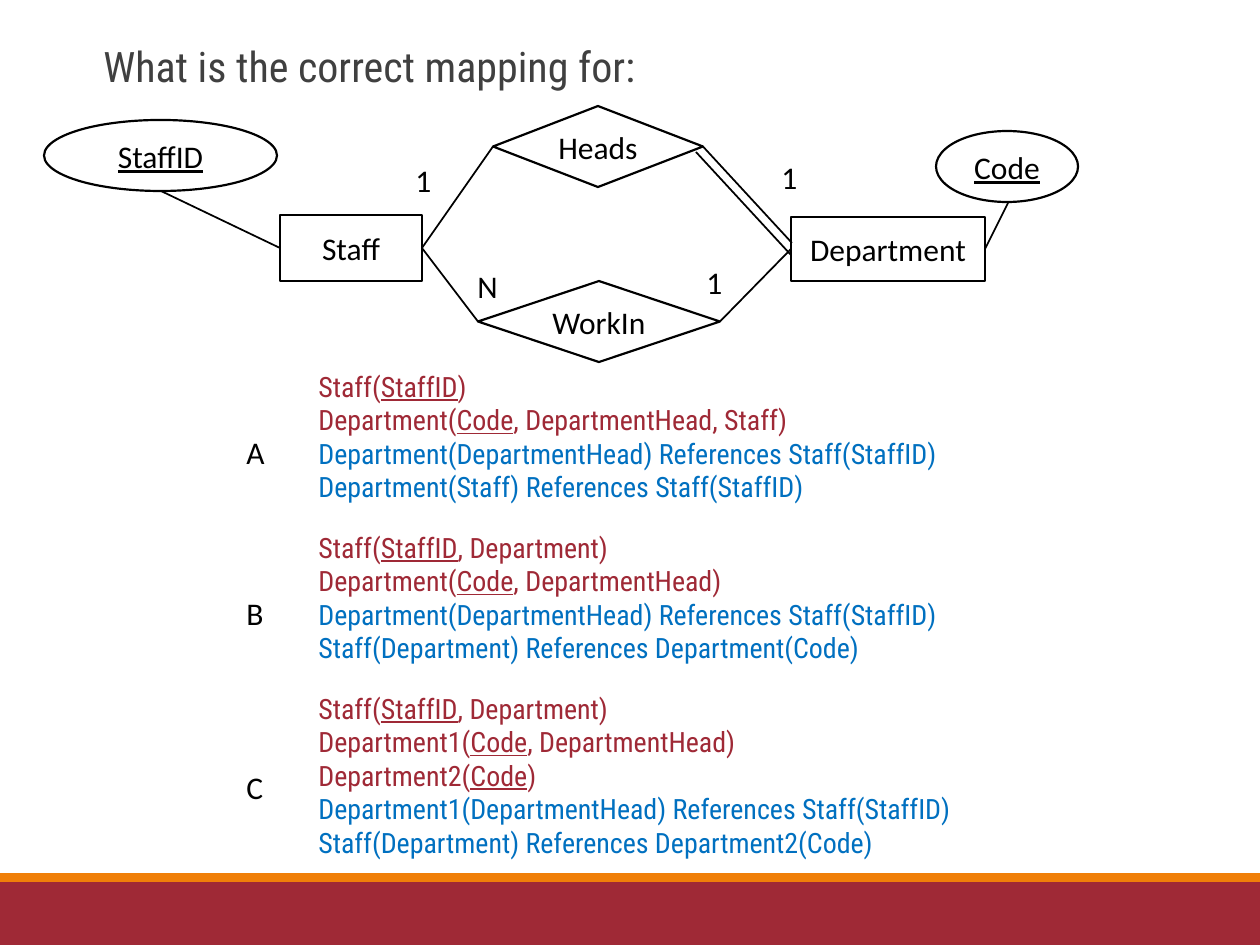
from lxml import etree
from pptx import Presentation
from pptx.dml.color import RGBColor
from pptx.enum.shapes import MSO_CONNECTOR, MSO_SHAPE
from pptx.enum.text import MSO_ANCHOR, MSO_AUTO_SIZE, PP_ALIGN
from pptx.oxml.ns import qn
from pptx.util import Pt

RECTANGLE, DIAMOND, ELLIPSE = MSO_SHAPE.RECTANGLE, MSO_SHAPE.DIAMOND, MSO_SHAPE.OVAL
STRAIGHT = MSO_CONNECTOR.STRAIGHT
CENTER, MIDDLE = PP_ALIGN.CENTER, MSO_ANCHOR.MIDDLE
FIT_SHAPE = MSO_AUTO_SIZE.SHAPE_TO_FIT_TEXT
LEFT_SIDE, RIGHT_SIDE = 1, 3

BLACK = RGBColor(0x00, 0x00, 0x00)
WHITE = RGBColor(0xFF, 0xFF, 0xFF)
GRAY = RGBColor(0x40, 0x40, 0x40)
RED = RGBColor(0x9F, 0x29, 0x36)
ORANGE = RGBColor(0xF0, 0x7F, 0x09)
BLUE = RGBColor(0x00, 0x70, 0xC0)
BODY_FONT, DISPLAY_FONT = "Calibri", "Roboto Condensed"

SLIDE_WIDTH, SLIDE_HEIGHT = 1260, 945
ROW_HEIGHT, CHOICE_PADDING, CHOICE_GAP = 34, 13, 12
CHOICES = [
    ("A", 64, [
        "Staff(_StaffID_)",
        "Department(_Code_, DepartmentHead, Staff)",
        "Department(DepartmentHead) References Staff(StaffID)",
        "Department(Staff) References Staff(StaffID)",
    ]),
    ("B", 64, [
        "Staff(_StaffID_, Department)",
        "Department(_Code_, DepartmentHead)",
        "Department(DepartmentHead) References Staff(StaffID)",
        "Staff(Department) References Department(Code)",
    ]),
    ("C", 77, [
        "Staff(_StaffID_, Department)",
        "Department1(_Code_, DepartmentHead)",
        "Department2(_Code_)",
        "Department1(DepartmentHead) References Staff(StaffID)",
        "Staff(Department) References Department2(Code)",
    ]),
]


def px(length):
    """Turn px into EMU."""
    return round(length * 914400 / 126)


def format_font(font, name, size, color):
    """Set the face, size and colour of a font."""
    font.name, font.size = name, Pt(size)
    font.color.rgb = color


def add_text(slide, box, text, name=BODY_FONT, size=18, color=BLACK):
    """Add a wrapping text box with one paragraph."""
    text_box = slide.shapes.add_textbox(*map(px, box))
    text_frame = text_box.text_frame
    text_frame.word_wrap = True
    text_frame.text = text
    for run in text_frame.paragraphs[0].runs:
        format_font(run.font, name, size, color)
    return text_box


def add_filled(slide, kind, box, color):
    """Add a shape with a plain fill and no line."""
    shape = slide.shapes.add_shape(kind, *map(px, box))
    shape.shadow.inherit = False
    shape.fill.solid()
    shape.fill.fore_color.rgb = color
    shape.line.fill.background()
    return shape


def add_node(slide, kind, box, text):
    """Add an outlined diagram node, with attribute names underlined."""
    shape = add_filled(slide, kind, box, WHITE)
    shape.line.color.rgb = BLACK
    shape.line.width = Pt(1.25)
    text_frame = shape.text_frame
    text_frame.word_wrap = False
    text_frame.vertical_anchor = MIDDLE
    text_frame.text = text
    paragraph = text_frame.paragraphs[0]
    paragraph.alignment = CENTER
    run = paragraph.runs[0]
    format_font(run.font, BODY_FONT, 18, BLACK)
    if kind == ELLIPSE:
        run.font.underline = True
    return shape


def add_link(slide, start, finish, begin=None, end=None):
    """Draw a line, joining its ends to (shape, side) pairs where given."""
    connector = slide.shapes.add_connector(STRAIGHT, *map(px, start + finish))
    if begin:
        connector.begin_connect(*begin)
    if end:
        connector.end_connect(*end)
    connector.line.color.rgb = BLACK
    connector.line.width = Pt(1)
    etree.SubElement(connector._element.spPr, qn("a:effectLst"))


def draw_footer(slide, box):
    """Draw the red band with its orange stripe on top."""
    left, top, width, height = box
    stripe = 9
    add_filled(slide, RECTANGLE, (left, top + stripe, width, height - stripe), RED)
    add_filled(slide, RECTANGLE, (left, top, width, stripe), ORANGE)


def draw_title(slide, box):
    """Write the indented question."""
    text_box = add_text(slide, box, "What is the correct mapping for:",
                        DISPLAY_FONT, 24, GRAY)
    paragraph = text_box.text_frame.paragraphs[0]
    paragraph.line_spacing = 0.9
    paragraph.space_after = Pt(2)
    paragraph._p.get_or_add_pPr().set("marL", str(px(13)))


def draw_diagram(slide, box):
    """Draw the entities, relationships, attributes and cardinalities."""
    left, top = box[:2]

    def node(kind, x, y, width, height, text):
        """Place a node inside the diagram."""
        return add_node(slide, kind, (left + x, top + y, width, height), text)

    def link(start, finish, begin=None, end=None):
        """Place a line inside the diagram."""
        add_link(slide, (left + start[0], top + start[1]),
                 (left + finish[0], top + finish[1]), begin, end)

    department = node(RECTANGLE, 747, 111, 194, 64, "Department")
    staff = node(RECTANGLE, 236, 109, 142, 66, "Staff")
    heads = node(DIAMOND, 449, 0, 210, 81, "Heads")
    work_in = node(DIAMOND, 434, 175, 242, 81, "WorkIn")
    node(ELLIPSE, 0, 14, 233, 71, "StaffID")
    node(ELLIPSE, 892, 25, 142, 71, "Code")

    link((117, 85), (236, 142), end=(staff, LEFT_SIDE))
    link((941, 143), (964, 97), begin=(department, RIGHT_SIDE))
    link((378, 142), (449, 40), (staff, RIGHT_SIDE), (heads, LEFT_SIDE))
    link((378, 142), (434, 215), (staff, RIGHT_SIDE), (work_in, LEFT_SIDE))
    link((676, 215), (747, 143), (work_in, RIGHT_SIDE), (department, LEFT_SIDE))
    link((659, 40), (748, 137), begin=(heads, RIGHT_SIDE))
    link((652, 46), (747, 149))

    for text, x, y in [("1", 359, 49), ("1", 725, 46), ("1", 650, 151), ("N", 421, 155)]:
        add_text(slide, (left + x, top + y, 62, 50), text)


def draw_choice(slide, box, letter, letter_offset, lines):
    """Write one lettered answer, underlining the parts between underscores."""
    left, top, width, height = box
    add_text(slide, (left, top + letter_offset, 34, 50), letter)
    text_frame = add_text(slide, (left + 72, top, width - 72, height), "").text_frame
    text_frame.auto_size = FIT_SHAPE
    for index, line in enumerate(lines):
        paragraph = text_frame.add_paragraph() if index else text_frame.paragraphs[0]
        color = BLUE if "References" in line else RED
        for position, part in enumerate(line.split("_")):
            run = paragraph.add_run()
            run.text = part
            format_font(run.font, DISPLAY_FONT, 16, color)
            if position % 2:
                run.font.underline = True


def main():
    """Build the slide and save it."""
    presentation = Presentation()
    presentation.slide_width, presentation.slide_height = px(SLIDE_WIDTH), px(SLIDE_HEIGHT)
    slide = presentation.slides.add_slide(presentation.slide_layouts[6])
    draw_footer(slide, (0, 873, SLIDE_WIDTH, 72))
    draw_title(slide, (78, 40, 1040, 66))
    draw_diagram(slide, (44, 106, 1034, 256))
    top = 363
    for letter, letter_offset, lines in CHOICES:
        height = len(lines) * ROW_HEIGHT + CHOICE_PADDING
        draw_choice(slide, (234, top, 866, height), letter, letter_offset, lines)
        top += height + CHOICE_GAP
    presentation.save("out.pptx")


if __name__ == "__main__":
    main()
